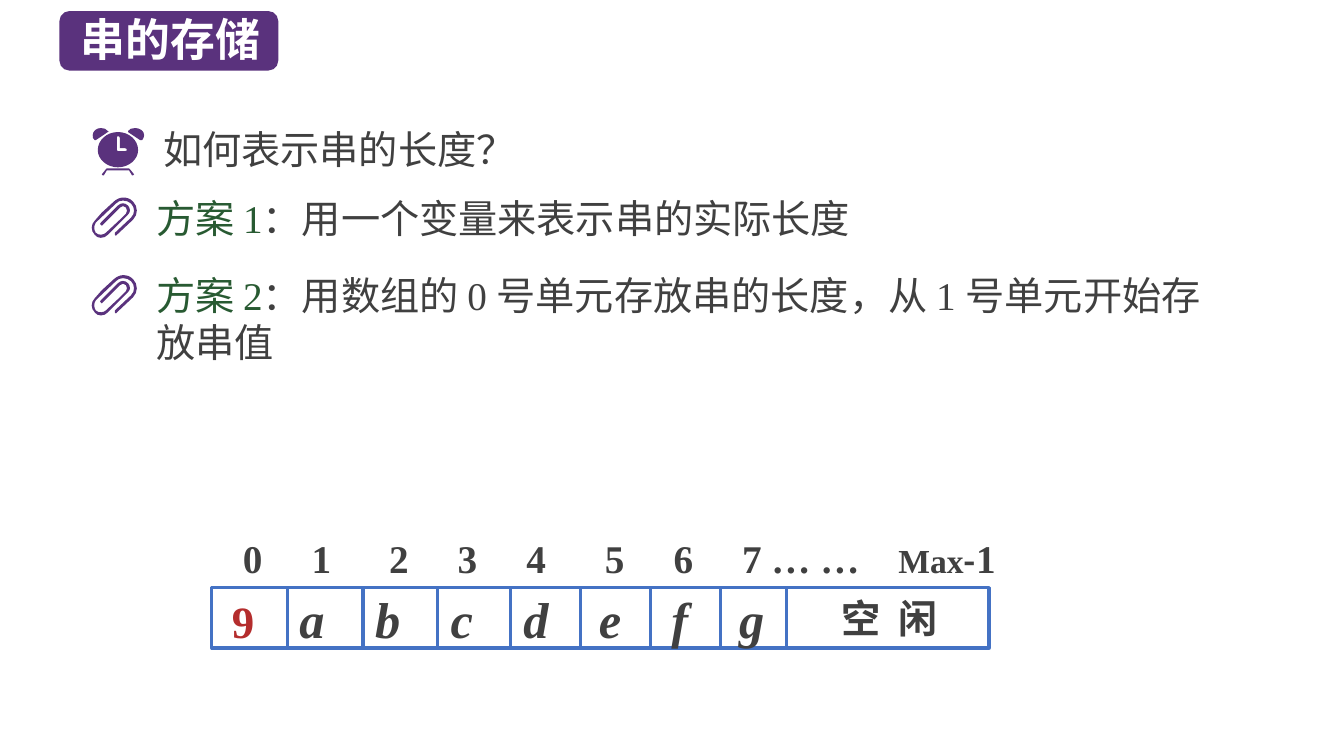
"""Build the slide on string storage: two schemes and an array diagram."""
from lxml import etree
from pptx import Presentation, util as u
from pptx.dml.color import RGBColor
from pptx.enum import shapes, text
from pptx.oxml.ns import qn

COLORS = {"purple": "5A327D", "green": "285A32", "grey": "404040",
          "red": "B42D2D", "blue": "4472C4", "white": "FFFFFF"}
CJK, LATIN = "Noto Sans CJK SC", "Times New Roman"
BODY = {"size": 28, "color": "grey", "name": LATIN}
BOLD = {**BODY, "bold": True}
VALUE = {**BOLD, "size": 36, "italic": True}
TITLE = [("串的存储", {"size": 32, "color": "white", "name": CJK, "bold": True})]
LINES = [
    ((1.52, 1.19, 7.26, 0.57), [("如何表示串的长度？", {**BODY, "name": CJK})]),
    ((1.45, 1.88, 8.47, 0.57), [("方案 1", {**BODY, "color": "green"}),
                                ("：用一个变量来表示串的实际长度", BODY)]),
    ((1.45, 2.64, 10.91, 1.04), [("方案 2", {**BODY, "color": "green"}),
                                 ("：用数组的 0 号单元存放串的长度，从 1 号单元开始存放串值", BODY)]),
]
INDEXES = [("\t".join("01234567") + " … …\t", BOLD), ("Max", {**BOLD, "size": 24}),
           ("-", {**BOLD, "size": 24, "name": CJK}), ("1", BOLD)]
INDEX_TABS = [0.68, 1.45, 2.13, 2.81, 3.59, 4.27, 4.95, 6.5]
VALUES = [("9\t", {**BOLD, "size": 32, "color": "red"}), ("\t".join("abcdefg"), VALUE)]
VALUE_TABS = [0.67, 1.42, 2.17, 2.89, 3.64, 4.36, 5.03]
DIVIDERS = [2.85, 3.6, 4.34, 5.06, 5.76, 6.45, 7.15, 7.8]
ARRAY_BOX = (2.1, 5.83, 7.71, 0.6)

CLIP_TOPS = [1.96, 2.73]
CLIP = [[
    (0.42, 0.04), (0.39, 0.01, 0.36, 0, 0.32, 0), (0.29, 0, 0.25, 0.02, 0.23, 0.04),
    (0.11, 0.15), (0.04, 0.23), (0, 0.27, 0, 0.33, 0.04, 0.37),
    (0.05, 0.39, 0.08, 0.4, 0.1, 0.4), (0.13, 0.4, 0.15, 0.39, 0.17, 0.37),
    (0.32, 0.22), (0.37, 0.17), (0.38, 0.16, 0.39, 0.14, 0.39, 0.13),
    (0.39, 0.11, 0.38, 0.09, 0.37, 0.08), (0.34, 0.05, 0.3, 0.05, 0.27, 0.08),
    (0.1, 0.25), (0.09, 0.26, 0.09, 0.27, 0.1, 0.27), (0.11, 0.28), (0.29, 0.1),
    (0.31, 0.08, 0.33, 0.08, 0.35, 0.1), (0.36, 0.11, 0.36, 0.11, 0.36, 0.13),
    (0.36, 0.14, 0.36, 0.15, 0.35, 0.16), (0.3, 0.21), (0.15, 0.35),
    (0.13, 0.37, 0.08, 0.38, 0.05, 0.35), (0.03, 0.32, 0.03, 0.28, 0.05, 0.25),
    (0.06, 0.24), (0.25, 0.06), (0.27, 0.04, 0.29, 0.03, 0.32, 0.03),
    (0.35, 0.03, 0.38, 0.04, 0.4, 0.06), (0.44, 0.1, 0.44, 0.16, 0.4, 0.2),
    (0.24, 0.35), (0.24, 0.36, 0.24, 0.37, 0.24, 0.37),
    (0.25, 0.37, 0.25, 0.38, 0.25, 0.38), (0.26, 0.37), (0.42, 0.22),
    (0.47, 0.17, 0.47, 0.09, 0.42, 0.04)]]
FEET = [[(1.33, 1.73), (1.29, 1.68), (1.28, 1.67), (1.06, 1.67), (1.05, 1.68),
         (1.01, 1.73), (1.02, 1.74), (1.03, 1.74), (1.06, 1.69), (1.28, 1.69),
         (1.31, 1.74), (1.32, 1.74), (1.33, 1.73)]]
LEFT_BELL = [[(1, 1.27), (0.96, 1.27, 0.92, 1.3, 0.92, 1.34),
              (0.92, 1.36, 0.92, 1.38, 0.94, 1.39), (0.95, 1.39), (1.07, 1.31),
              (1.08, 1.31, 1.08, 1.3, 1.07, 1.3), (1.06, 1.28, 1.03, 1.27, 1, 1.27)]]
RIGHT_BELL = [[(1.34, 1.27), (1.31, 1.27, 1.28, 1.28, 1.27, 1.3), (1.27, 1.31),
               (1.39, 1.39), (1.41, 1.39), (1.42, 1.38, 1.43, 1.36, 1.43, 1.34),
               (1.43, 1.3, 1.39, 1.27, 1.34, 1.27)]]
DIAL = [[(1.17, 1.31), (1.06, 1.31, 0.97, 1.39, 0.97, 1.49),
         (0.97, 1.58, 1.06, 1.66, 1.17, 1.66), (1.28, 1.66, 1.37, 1.58, 1.37, 1.49),
         (1.37, 1.39, 1.28, 1.31, 1.17, 1.31)],
        [(1.24, 1.5), (1.17, 1.5), (1.16, 1.5, 1.16, 1.49, 1.16, 1.49), (1.16, 1.37),
         (1.16, 1.36, 1.16, 1.35, 1.17, 1.35), (1.18, 1.35, 1.19, 1.36, 1.19, 1.37),
         (1.19, 1.47), (1.24, 1.47), (1.25, 1.47, 1.26, 1.48, 1.26, 1.49),
         (1.26, 1.49, 1.25, 1.5, 1.24, 1.5)]]


def rgb(name):
    return RGBColor.from_string(COLORS[name])


def write(box, spans, insets=(0.1, 0.05, 0.1, 0.05), tabs=()):
    frame = box.text_frame
    sides = zip(("left", "top", "right", "bottom"), insets)
    settings = {f"margin_{side}": u.Inches(inset) for side, inset in sides}
    settings |= {"word_wrap": True, "auto_size": text.MSO_AUTO_SIZE.NONE,
                 "vertical_anchor": text.MSO_ANCHOR.MIDDLE}
    for key, value in settings.items():
        setattr(frame, key, value)
    para = frame.paragraphs[0]
    para.alignment = text.PP_ALIGN.LEFT
    if tabs:
        stops = etree.SubElement(para._p.get_or_add_pPr(), qn("a:tabLst"))
        for tab in tabs:
            etree.SubElement(stops, qn("a:tab"), pos=str(u.Inches(tab)), algn="l")
    for words, style in spans:
        span = para.add_run()
        span.text = words
        for key, value in style.items():
            if key == "color":
                span.font.color.rgb = rgb(value)
            else:
                setattr(span.font, key, u.Pt(value) if key == "size" else value)
        etree.SubElement(span._r.get_or_add_rPr(), qn("a:ea"), typeface=CJK)


def add_text(page, place, spans, **layout):
    write(page.shapes.add_textbox(*map(u.Inches, place)), spans, **layout)


def add_icon(page, contours, left=0, top=0):
    """Draw closed contours; a part of six numbers is a cubic curve."""
    builder = None
    for contour in contours:
        numbers = [number for part in contour for number in part]
        start, *points = [(u.Inches(x + left), u.Inches(y + top))
                          for x, y in zip(numbers[::2], numbers[1::2])]
        if builder is None:
            builder = page.shapes.build_freeform(*start)
        else:
            builder.move_to(*start)
        builder.add_line_segments(points)
    icon = builder.convert_to_shape()
    segments = icon._element.iter(qn("a:lnTo"))
    segments = iter(list(segments))
    for part in (part for contour in contours for part in contour[1:]):
        segment = next(segments)
        if len(part) == 6:
            curve = etree.Element(qn("a:cubicBezTo"))
            segment.addprevious(curve)
            for control in (segment, next(segments), next(segments)):
                curve.append(control[0])
                control.getparent().remove(control)
    paint(icon, "purple")


def paint(shape, fill):
    shape.shadow.inherit = False
    shape.fill.solid()
    shape.fill.fore_color.rgb = rgb(fill)
    shape.line.fill.background()


def outline(line):
    line.color.rgb = rgb("blue")
    line.width = u.Pt(2.25)


def add_title(page):
    badge = page.shapes.add_shape(shapes.MSO_SHAPE.ROUNDED_RECTANGLE,
                                  *map(u.Inches, (0.59, 0.11, 2.17, 0.59)))
    paint(badge, "purple")
    title = page.shapes.title
    title._element.addprevious(badge._element)
    for key, value in zip(("left", "top", "width", "height"), (0.7, 0.06, 2.09, 0.64)):
        setattr(title, key, u.Inches(value))
    write(title, TITLE)


def add_array(page):
    left, top, width, height = ARRAY_BOX
    add_text(page, (2.39, 5.3, 7.66, 0.47), INDEXES,
             insets=(0.02, 0.01, 0.02, 0.01), tabs=INDEX_TABS)
    array = page.shapes.add_shape(shapes.MSO_SHAPE.RECTANGLE, *map(u.Inches, ARRAY_BOX))
    array.shadow.inherit = False
    array.fill.background()
    outline(array.line)
    write(array, VALUES, insets=(0.2, 0.05, 0.1, 0.05), tabs=VALUE_TABS)
    for x in DIVIDERS:
        divider = page.shapes.add_connector(
            shapes.MSO_CONNECTOR.STRAIGHT, *map(u.Inches, (x, top, x, top + height)))
        outline(divider.line)
        etree.SubElement(divider._element.spPr, qn("a:effectLst"))
    add_text(page, (8.25, 5.85, 1.26, 0.51), [("空  闲", BOLD)], insets=(0.1, 0.04, 0.1, 0))


def main():
    deck = Presentation()
    deck.slide_width, deck.slide_height = u.Inches(13.33), u.Inches(7.5)
    page = deck.slides.add_slide(deck.slide_layouts[5])
    add_title(page)
    for place, spans in LINES:
        add_text(page, place, spans)
    for contours in (FEET, LEFT_BELL, RIGHT_BELL, DIAL):
        add_icon(page, contours)
    for top in CLIP_TOPS:
        add_icon(page, CLIP, 0.9, top)
    add_array(page)
    deck.save("out.pptx")


if __name__ == "__main__":
    main()
